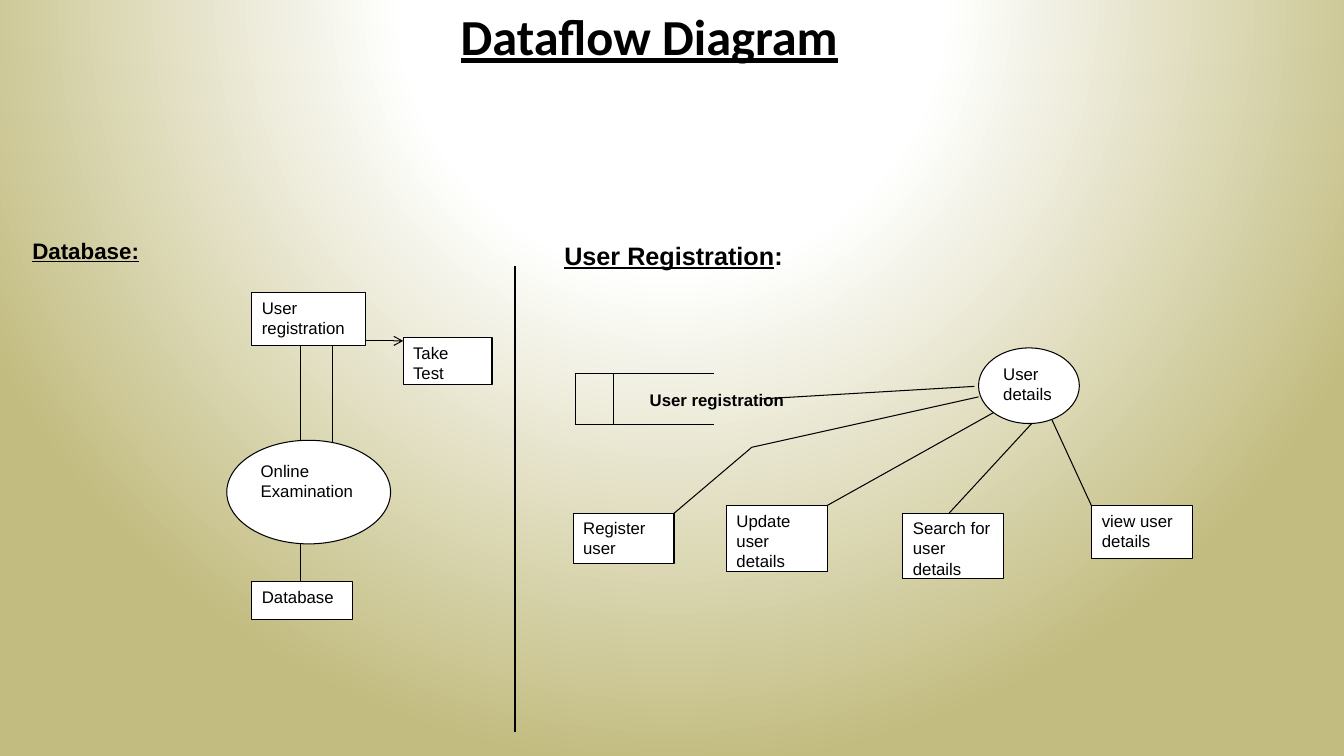
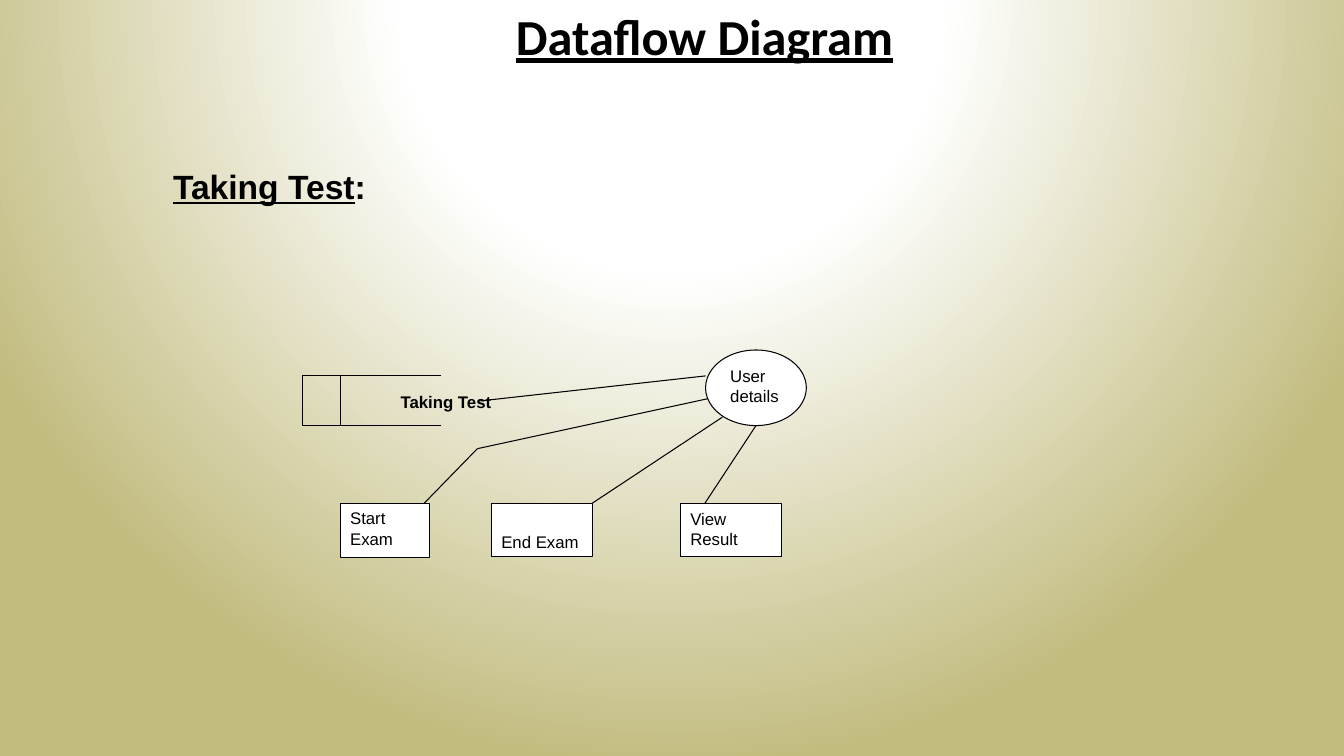
from pptx import Presentation
from pptx.dml.color import RGBColor
from pptx.enum.shapes import MSO_CONNECTOR, MSO_SHAPE
from pptx.enum.text import MSO_ANCHOR, PP_ALIGN
from pptx.oxml import parse_xml
from pptx.oxml.ns import nsdecls
from pptx.util import Pt
from lxml.etree import SubElement

INK, PAPER, OLIVE = "000000", "FFFFFF", "C2BC80"
BOX, OVAL = MSO_SHAPE.RECTANGLE, MSO_SHAPE.OVAL
A = "{http://schemas.openxmlformats.org/drawingml/2006/main}"
color = RGBColor.from_string


def put(slide, kind, x, y, w, h, text, size=12, bold=False, face="Arial"):
    """Add a box or oval, or a plain text box if kind is None; return its paragraph."""
    area = [Pt(n) for n in (x, y, w, h)]
    if kind is None:
        shape = slide.shapes.add_textbox(*area)
    else:
        shape = slide.shapes.add_shape(kind, *area)
        shape.shadow.inherit = False
        shape.fill.solid()
        shape.fill.fore_color.rgb = color(PAPER)
        shape.line.color.rgb = color(INK)
        shape.line.width = Pt(0.75)
    frame = shape.text_frame
    frame.word_wrap = True
    frame.vertical_anchor = MSO_ANCHOR.TOP
    para = frame.paragraphs[0]
    para.add_run().text = text
    para.alignment = PP_ALIGN.LEFT
    font = para.font
    font.name, font.size, font.bold = face, Pt(size), bold
    font.color.rgb = color(INK)
    return para


def link(slide, *points, width=0.75, arrow=False):
    """Join the points in turn with straight lines."""
    for start, end in zip(points, points[1:]):
        line = slide.shapes.add_connector(
            MSO_CONNECTOR.STRAIGHT, *[Pt(n) for n in start + end])
        line.line.color.rgb = color(INK)
        line.line.width = Pt(width)
        if arrow:
            SubElement(line.line._get_or_add_ln(), A + "tailEnd", type="arrow")
        SubElement(line._element.spPr, A + "effectLst")


deck = Presentation()
deck.slide_width, deck.slide_height = Pt(960), Pt(540)

# The master carries the round glow behind every slide
master = deck.slide_master
master.background.fill.solid()
plain = master.element.xpath("p:cSld/p:bg/p:bgPr/a:solidFill")[0]
stops = "".join(
    f'<a:gs pos="{pos}000"><a:srgbClr val="{tone}"/></a:gs>'
    for pos, tone in ((0, PAPER), (35, PAPER), (100, OLIVE)))
plain.getparent().replace(plain, parse_xml(
    f'<a:gradFill {nsdecls("a")} rotWithShape="1"><a:gsLst>{stops}</a:gsLst>'
    '<a:path path="circle"><a:fillToRect l="50000" t="-80000" r="50000" b="180000"/>'
    '</a:path></a:gradFill>'))

pages = [
    {
        "title": 322,
        "head": (396, 168, 172, 28, "User Registration", 18),
        "store": (411, 267, 36.5),
        "label": (457, 274.5, 112, 21, "User registration"),
        "oval": (699, 248.5),
        "links": [
            [(543, 285), (696, 276)],
            [(699, 283.5), (537, 319.5), (474, 373)],
            [(711, 294), (591, 361)],
            [(737, 302.5), (678, 366.5)],
            [(751, 299), (780, 362)],
        ],
        "boxes": [
            (409.5, 366.5, 72, 36, "Register user"),
            (519, 361, 72, 47, "Update user details"),
            (645, 366.5, 72, 47, "Search for user details"),
            (780, 361, 72, 38, "view user details"),
        ],
    },
    {
        "title": 361.5,
        "head": (116.5, 115, 154, 35, "Taking Test", 24),
        "store": (216, 268.5, 35.5),
        "label": (279, 276.5, 82, 21, "Taking Test"),
        "oval": (504, 250),
        "links": [
            [(342, 286.5), (504, 268.5)],
            [(507, 284.5), (341, 320.5), (282, 381)],
            [(516, 298), (423, 359.5)],
            [(540, 304), (503.5, 359.5)],
        ],
        "boxes": [
            (243, 359.5, 63.5, 38.5, "Start Exam"),
            (351, 359.5, 72, 38, "End Exam"),
            (486, 359.5, 72, 38, "View Result"),
        ],
    },
]

for page in pages:
    slide = deck.slides.add_slide(deck.slide_layouts[6])
    title = put(slide, None, page["title"], 0, 288, 51,
                "Dataflow Diagram", 36, True, "Calibri")
    title.font.underline = True

    head = put(slide, None, *page["head"], bold=True)
    head.runs[0].font.underline = True
    head.add_run().text = ":"

    # Data store: open on the right, with a narrow cell on the left
    x, y, tall = page["store"]
    for level in (y, y + tall):
        link(slide, (x, level), (x + 99, level))
    for side in (x, x + 27):
        link(slide, (side, y), (side, y + tall))
    put(slide, None, *page["label"], bold=True)

    for points in page["links"]:
        link(slide, *points)
    put(slide, OVAL, *page["oval"], 72, 54, "User details")
    for box in page["boxes"]:
        para = put(slide, BOX, *box)
        if box[-1] == "End Exam":
            slide.shapes[-1].text_frame.vertical_anchor = MSO_ANCHOR.BOTTOM

# Database flow, left of the divider on the first slide
first = deck.slides[0]
link(first, (368, 190), (368, 523), width=1)
name = put(first, None, 16, 165.5, 92, 26, "Database:", 16, True)
name.font.underline = True
link(first, (214.5, 209), (214.5, 427.5))
link(first, (237.5, 241), (237.5, 315.5))
link(first, (225, 243.5), (288, 243.5), arrow=True)
for node in (
    (OVAL, 162, 314.5, 117, 74, "Online Examination"),
    (BOX, 180, 415.5, 72, 27, "Database"),
    (BOX, 288, 241, 63.5, 34, "Take Test"),
    (BOX, 180, 209, 81, 38, "User registration"),
):
    put(first, *node)

deck.save("out.pptx")
